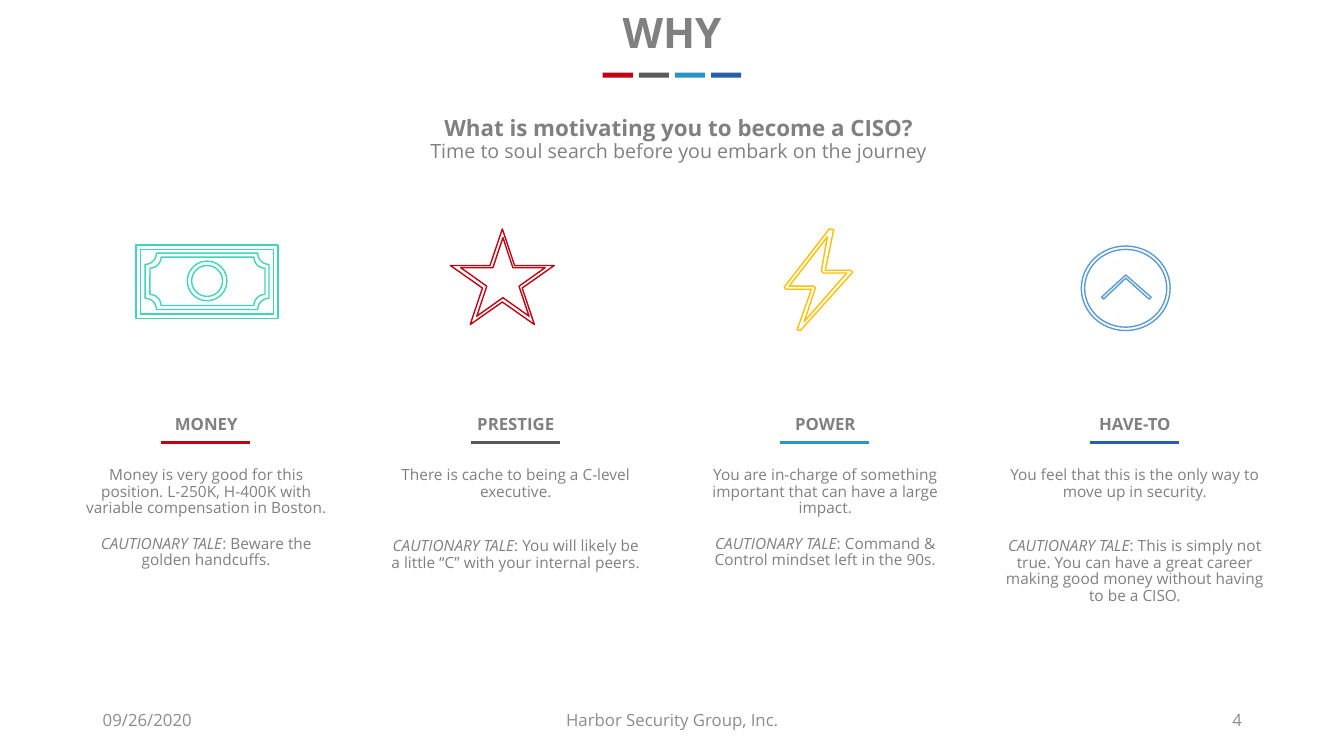
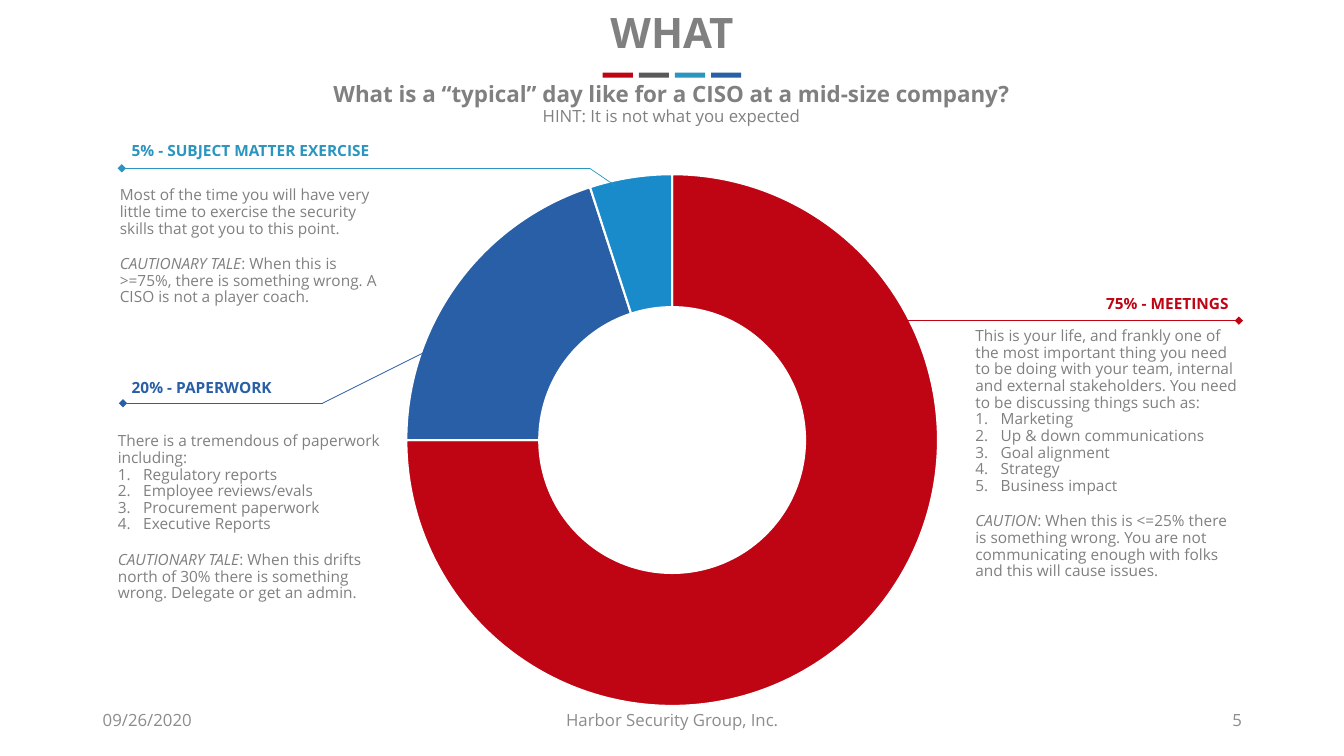
"""Build two slides on why one becomes a CISO and what the job is like."""
from lxml import etree
from pptx import Presentation
from pptx.chart.data import CategoryChartData
from pptx.dml.color import RGBColor
from pptx.enum.chart import XL_CHART_TYPE
from pptx.enum.shapes import MSO_CONNECTOR, MSO_SHAPE
from pptx.enum.text import MSO_ANCHOR, MSO_AUTO_SIZE, PP_ALIGN
from pptx.oxml.ns import qn
from pptx.util import Cm, Pt

LEFT, CENTER, RIGHT = PP_ALIGN.LEFT, PP_ALIGN.CENTER, PP_ALIGN.RIGHT
TOP, MIDDLE = MSO_ANCHOR.TOP, MSO_ANCHOR.MIDDLE
FRAME, PLAQUE, DONUT = MSO_SHAPE.FRAME, MSO_SHAPE.PLAQUE, MSO_SHAPE.DONUT
STAR, RECTANGLE = MSO_SHAPE.STAR_5_POINT, MSO_SHAPE.RECTANGLE
NO_AUTOFIT = MSO_AUTO_SIZE.NONE
STRAIGHT, DOUGHNUT = MSO_CONNECTOR.STRAIGHT, XL_CHART_TYPE.DOUGHNUT

FONT = "Open Sans"
GRAY, FOOTER_GRAY, WHITE = "808080", "8C8C8C", "FFFFFF"
RED, DARK, TEAL, BLUE = ACCENTS = "BF0413", "595959", "2A95BF", "295FA6"
GREEN, YELLOW, SKY, BRIGHT = "3FD5BA", "FFC000", "5B9BD5", "198BCB"
BLANK_LINE = 13.5
rgb = RGBColor.from_string


def write(s, box, paras, size, color=GRAY, align=LEFT, bold=False, anchor=TOP, sp=None):
    """Fill a text box; a tuple paragraph holds an italic lead and its rest."""
    sp = sp or s.shapes.add_textbox(0, 0, 0, 0)
    sp.left, sp.top, sp.width, sp.height = map(Cm, box)
    tf = sp.text_frame
    tf.word_wrap, tf.auto_size, tf.vertical_anchor = True, NO_AUTOFIT, anchor
    for i, para in enumerate(paras):
        p = tf.add_paragraph() if i else tf.paragraphs[0]
        p.alignment, p.line_spacing = align, 0.9
        f = p.font
        f.name, f.size, f.bold, f.color.rgb = FONT, Pt(size), bold, rgb(color)
        if isinstance(para, tuple):
            lead, rest = para
            r = p.add_run()
            r.text, r.font.italic = lead, True
            p.add_run().text = rest
            p.space_before = Pt(BLANK_LINE)
        else:
            p.add_run().text = para
    return tf.paragraphs


def line(s, start, end, color, width, diamonds=()):
    """Draw a straight line with diamonds at the named ends."""
    c = s.shapes.add_connector(STRAIGHT, *map(Cm, start + end))
    c.line.color.rgb, c.line.width = rgb(color), Pt(width)
    props = c._element.spPr
    for name in diamonds:
        etree.SubElement(props.find(qn("a:ln")), qn(f"a:{name}"), type="diamond")
    etree.SubElement(props, qn("a:effectLst"))


prs = Presentation()
prs.slide_width, prs.slide_height = Cm(33.87), Cm(19.05)

slides = []
for title, number in (("WHY", "4"), ("WHAT", "5")):
    s = prs.slides.add_slide(prs.slide_layouts[5])
    slides.append(s)
    write(s, (6.65, 0.18, 20.57, 1.55), [title], 30, align=CENTER, bold=True,
          sp=s.shapes.title)
    for i, color in enumerate(ACCENTS):
        bar = s.shapes.add_shape(RECTANGLE, Cm(15.19 + 0.91 * i), Cm(1.83), Cm(0.76), Cm(0.13))
        bar.shadow.inherit = False
        bar.fill.solid()
        bar.fill.fore_color.rgb = rgb(color)
        bar.line.fill.background()
    for x, w, label, align in (
        (2.34, 7.62, "09/26/2020", LEFT),
        (11.23, 11.43, "Harbor Security Group, Inc.", CENTER),
        (23.93, 7.62, number, RIGHT),
    ):
        write(s, (x, 17.65, w, 1.02), [label], 12, FOOTER_GRAY, align, anchor=MIDDLE)
why, what = slides

# WHY
heading, hint = write(why, (1.7, 2.84, 30.81, 1.55), [
    "What is motivating you to become a CISO?",
    "Time to soul search before you embark on the journey"], 16, align=CENTER, bold=True)
hint.font.size, hint.font.bold = Pt(14), False

motives = (
    ("MONEY", 1, "Money is very good for this position. L-250K, H-400K with variable "
     "compensation in Boston.", ": Beware the golden handcuffs."),
    ("PRESTIGE", 2, "There is cache to being a C-level executive.",
     ": You will likely be a little “C” with your internal peers."),
    ("POWER", 1, "You are in-charge of something important that can have a large impact.",
     ": Command & Control mindset left in the 90s."),
    ("HAVE-TO", 2, "You feel that this is the only way to move up in security.",
     ": This is simply not true. You can have a great career making good money without "
     "having to be a CISO."),
)
for i, (name, blanks, reason, caution) in enumerate(motives):
    x = 1.7 + 7.8 * i
    write(why, (x, 10.36, 7, 0.76), [name], 12, align=CENTER, bold=True)
    line(why, (x + 2.36, 11.15), (x + 4.61, 11.15), ACCENTS[i], 1.5)
    tale = write(why, (x, 11.65, 7, 4), [reason, ("CAUTIONARY TALE", caution)], 11,
                 align=CENTER)[1]
    tale.space_before = Pt(BLANK_LINE * blanks)

icons = []
for kind, box, adjust, color in (
    (FRAME, (3.43, 6.17, 3.58, 1.85), 0.06, GREEN),
    (PLAQUE, (3.66, 6.38, 3.12, 1.42), 0.2, GREEN),
    (PLAQUE, (3.78, 6.48, 2.9, 1.22), 0.23, GREEN),
    (DONUT, (4.72, 6.58, 1, 1), 0.11, GREEN),
    (STAR, (11.35, 5.77, 2.62, 2.41), None, RED),
    (STAR, (11.61, 5.99, 2.13, 1.98), None, RED),
    (DONUT, (27.25, 6.2, 2.24, 2.13), 0.04, SKY),
):
    sp = why.shapes.add_shape(kind, *map(Cm, box))
    if adjust:
        sp.adjustments[0] = adjust
    icons.append((sp, color))

bolt_outer = [(2017, 833), (2009, 831), (2045, 729), (1981, 729), (1976, 724),
              (2090, 577), (2101, 579), (2080, 681), (2144, 681), (2149, 686)]
bolt_inner = [(1989, 721), (2050, 721), (2055, 726), (2027, 810),
              (2134, 688), (2075, 688), (2070, 683), (2085, 597)]
chevron = [(2896, 754), (2837, 701), (2781, 754), (2776, 749), (2837, 693), (2901, 749)]
for contours, color in (((bolt_outer, bolt_inner), YELLOW), ((chevron,), SKY)):
    outline = why.shapes.build_freeform(*contours[0][0], scale=Cm(0.01))
    for points in contours:
        outline.move_to(*points[0])
        outline.add_line_segments(points[1:])
    icons.append((outline.convert_to_shape(), color))

for sp, color in icons:
    sp.shadow.inherit = False
    sp.fill.solid()
    sp.fill.fore_color.rgb = rgb(WHITE)
    sp.line.color.rgb, sp.line.width = rgb(color), Pt(1)

# WHAT
heading, hint = write(what, (1.52, 1.98, 30.81, 1.45), [
    "What is a “typical” day like for a CISO at a mid-size company?",
    "HINT: It is not what you expected"], 16, align=CENTER, bold=True)
hint.font.size, hint.font.bold = Pt(12), False

data = CategoryChartData()
data.categories = ["1", "2", "3"]
data.add_series("Series 1", (75, 20, 5))
chart = what.shapes.add_chart(DOUGHNUT, *map(Cm, (9.75, 4.04, 14.38, 14.1)), data).chart
chart.has_legend = chart.has_title = False
chart.font.name, chart.font.size, chart.font.color.rgb = FONT, Pt(10), rgb("000000")
plot = chart.plots[0]
plot.vary_by_categories = True
plot._element.find(qn("c:holeSize")).set("val", "75")
for i, color in enumerate((RED, BLUE, BRIGHT)):
    part = plot.series[0].points[i].format
    part.fill.solid()
    part.fill.fore_color.rgb = rgb(color)
    part.line.color.rgb, part.line.width = rgb(WHITE), Pt(1.5)

callouts = (
    ("5% - SUBJECT MATTER EXERCISE", TEAL, LEFT, (3.07, 3.48, 8.13, 0.74),
     (2.77, 4.6, 7.21, 4.5),
     "Most of the time you will have very little time to exercise the security skills that "
     "got you to this point.", [],
     ("CAUTIONARY TALE", ": When this is >=75%, there is something wrong. A CISO is not a "
      "player coach.")),
    ("20% - PAPERWORK", BLUE, LEFT, (3.07, 9.45, 5.11, 0.74), (2.72, 10.8, 7.21, 5.44),
     "There is a tremendous of paperwork including:",
     ["Regulatory reports", "Employee reviews/evals", "Procurement paperwork",
      "Executive Reports"],
     ("CAUTIONARY TALE", ": When this drifts north of 30% there is something wrong. "
      "Delegate or get an admin.")),
    ("75% - MEETINGS", RED, RIGHT, (26.34, 7.34, 4.88, 0.74), (24.33, 8.15, 7.21, 8.26),
     "This is your life, and frankly one of the most important thing you need to be doing "
     "with your team, internal and external stakeholders. You need to be discussing things "
     "such as:",
     ["Marketing", "Up & down communications", "Goal alignment", "Strategy",
      "Business impact"],
     ("CAUTION", ": When this is <=25% there is something wrong. You are not communicating "
      "enough with folks and this will cause issues.")),
)
for name, color, align, name_box, body_box, intro, items, caution in callouts:
    write(what, name_box, [name], 11, color, align, bold=True)
    paragraphs = write(what, body_box, [intro, *items, caution], 11)
    for p in paragraphs[1:-1]:
        props = p._p.get_or_add_pPr()
        props.set("marL", str(Cm(0.64)))
        props.set("indent", str(Cm(-0.64)))
        number = etree.Element(qn("a:buAutoNum"), type="arabicPeriod")
        props.find(qn("a:defRPr")).addprevious(number)

for start, end, color, diamonds in (
    ((3.07, 4.24), (14.86, 4.24), TEAL, ["headEnd"]),
    ((14.86, 4.24), (15.49, 4.67), TEAL, []),
    ((3.1, 10.16), (8.13, 10.16), BLUE, ["headEnd"]),
    ((8.13, 10.16), (11.23, 8.61), BLUE, []),
    ((22.2, 8.08), (31.22, 8.08), RED, ["headEnd", "tailEnd"]),
):
    line(what, start, end, color, 0.5, diamonds)

prs.save("out.pptx")
